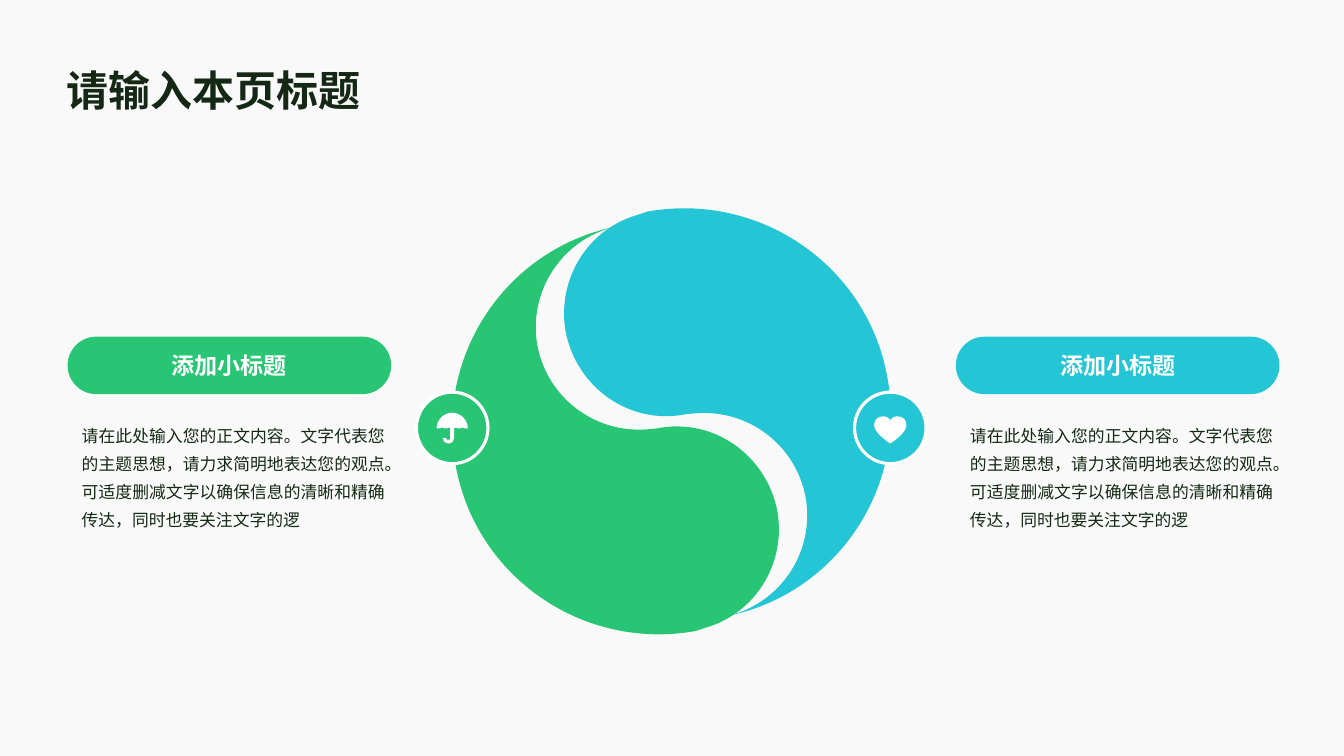
from pptx import Presentation
from pptx.dml.color import RGBColor
from pptx.enum.shapes import MSO_SHAPE as Shape
from pptx.enum.text import MSO_ANCHOR as Anchor, PP_ALIGN as Align
from pptx.oxml.ns import qn
from pptx.util import Inches, Pt
from lxml.etree import SubElement

# Content
TITLE = "请输入本页标题"
BODY = ("请在此处输入您的正文内容。文字代表您的主题思想，请力求简明地表达您的观点。"
        "可适度删减文字以确保信息的清晰和精确传达，同时也要关注文字的逻")
SIDES = [
    dict(heading="添加小标题", body=BODY, color="cyan", icon="heart",
         column_left=9.48, badge_center=(8.83, 4.245), turned=False),
    dict(heading="添加小标题", body=BODY, color="green", icon="umbrella",
         column_left=0.67, badge_center=(4.485, 4.245), turned=True),
]

THEME = dict(
    font="Noto Sans CJK SC",
    background="F9F9F9", ink="152815", white="FFFFFF", cyan="24C6D6", green="28C674",
    title_size=30, heading_size=16.5, body_size=12, badge_line=2.25,
)

# Outlines: a start point, then segments of 1 point (line) or 3 points (Bezier curve)
SWIRL_CENTER = (6.66, 4.18)
SWIRL = [  # inches on the slide
    [(7.17, 6.12)],
    [(7.72, 6.02), (8.09, 5.49), (7.99, 4.93)],
    [(7.89, 4.41), (7.42, 4.06), (6.9, 4.1)],
    [(6.8, 4.11)],
    [(6.25, 4.22), (5.72, 3.85), (5.61, 3.29)],
    [(5.52, 2.77), (5.83, 2.27), (6.33, 2.13)],
    [(6.42, 2.1)],
    [(7.53, 1.9), (8.6, 2.63), (8.8, 3.74)],
    [(9.01, 4.85), (8.28, 5.92), (7.17, 6.12)],
]
ICONS = {  # hundredths of an inch from the badge centre
    "heart": [
        [(0, -7.5)],
        [(0, -7.5), (-2, -11.5), (-7, -11.5)],
        [(-13, -11.5), (-16, -7.5), (-16, -2.5)],
        [(-16, 5.5), (0, 15.5), (0, 15.5)],
        [(0, 15.5), (16, 5.5), (16, -2.5)],
        [(16, -7.5), (13, -11.5), (7, -11.5)],
        [(2, -11.5), (0, -7.5), (0, -7.5)],
    ],
    "umbrella": [
        [(0, -15)],
        [(-8.5, -15), (-15.5, -8), (-15.5, 0.5)],
        [(-12, 0.5)],
        [(-11.5, -0.5), (-10.5, -0.5), (-10, -0.5)],
        [(-9, -0.5), (-8.5, -0.5), (-8, 0.5)],
        [(-5, 0.5)],
        [(-4.5, -0.5), (-3.5, -0.5), (-3, -0.5)],
        [(-2.5, -0.5), (-2, -0.5), (-2, 0.5)],
        [(-2, 10)],
        [(-2, 11.5), (-2.5, 12), (-4, 12)],
        [(-5, 12), (-6, 11.5), (-6, 10)],
        [(-9.5, 10)],
        [(-9.5, 13), (-7, 15.5), (-4, 15.5)],
        [(-0.5, 15.5), (2, 13), (2, 10)],
        [(2, 0.5)],
        [(2, -0.5), (2.5, -0.5), (3.5, -0.5)],
        [(4.5, -0.5), (5, -0.5), (5.5, 0.5)],
        [(8.5, 0.5)],
        [(9, -0.5), (10, -0.5), (10.5, -0.5)],
        [(11, -0.5), (11.5, -0.5), (12, 0.5)],
        [(15.5, 0.5)],
        [(15.5, -8), (8.5, -15), (0, -15)],
    ],
}
COLUMN_WIDTH, BADGE_SIZE, CURVE_STEPS = 3.21, 0.71, 40

prs = Presentation()
prs.slide_width, prs.slide_height = Inches(13.33), Inches(7.5)
slide = prs.slides.add_slide(prs.slide_layouts[6])


def color(name):
    return RGBColor.from_string(THEME[name])


def paint(shape, fill, line=None):
    shape.shadow.inherit = False
    shape.fill.solid()
    shape.fill.fore_color.rgb = color(fill)
    if line:
        shape.line.color.rgb = color(line)
        shape.line.width = Pt(THEME["badge_line"])
    else:
        shape.line.fill.background()
    return shape


def place(outline, origin, scale):
    """Scale an outline and move it to its origin, in EMU."""
    return [[tuple(Inches(o + scale * v) for o, v in zip(origin, point))
             for point in segment] for segment in outline]


def extent(outline, axis):
    """Smallest and largest coordinate that the curves reach on one axis."""
    values = [segment[-1][axis] for segment in outline]
    for before, segment in zip(outline, outline[1:]):
        if len(segment) == 3:
            a, b, c, d = [p[axis] for p in (before[-1], *segment)]
            for step in range(1, CURVE_STEPS):
                t = step / CURVE_STEPS
                u = 1 - t
                values.append(round(a * u**3 + 3 * b * t * u**2 + 3 * c * t**2 * u + d * t**3))
    return min(values), max(values)


def draw_outline(shapes, outline, fill):
    (left, right), (top, bottom) = extent(outline, 0), extent(outline, 1)
    builder = shapes.build_freeform(left, top, scale=1.0)
    builder.add_line_segments([(right, top), (right, bottom), (left, bottom)])
    shape = paint(builder.convert_to_shape(), fill)
    # Swap the frame for the curved outline
    route = next(shape._element.iter(qn("a:path")))
    for command in list(route):
        route.remove(command)
    for index, segment in enumerate(outline):
        tag = "a:moveTo" if index == 0 else "a:lnTo" if len(segment) == 1 else "a:cubicBezTo"
        command = SubElement(route, qn(tag))
        for x, y in segment:
            SubElement(command, qn("a:pt"), x=str(x - left), y=str(y - top))
    SubElement(route, qn("a:close"))


def write(shape, text, size, ink, bold=False, insets=None, anchor=Anchor.TOP, **layout):
    frame = shape.text_frame
    left, top, right, bottom = insets or (0.1, 0.05, 0.1, 0.05)
    frame_format = dict(word_wrap=True, vertical_anchor=anchor,
                        margin_left=Inches(left), margin_top=Inches(top),
                        margin_right=Inches(right), margin_bottom=Inches(bottom))
    paragraph = frame.paragraphs[0]
    run = paragraph.add_run()
    run.text = text
    font_format = dict(name=THEME["font"], size=Pt(THEME[size]), bold=bold)
    for target, values in ((frame, frame_format), (paragraph, layout), (run.font, font_format)):
        for key, value in values.items():
            setattr(target, key, value)
    run.font.color.rgb = color(ink)
    properties = run._r.get_or_add_rPr()
    properties.set("lang", "zh-CN")
    SubElement(properties, qn("a:ea")).set("typeface", THEME["font"])


def box(left, top, width, height):
    return [Inches(v) for v in (left, top, width, height)]


# Background and title
slide.background.fill.solid()
slide.background.fill.fore_color.rgb = color("background")
write(slide.shapes.add_textbox(*box(0.52, 0.29, 12.29, 1)), TITLE, "title_size", "ink",
      bold=True, insets=(0.14, 0.14, 0.06, 0.14), anchor=Anchor.MIDDLE, line_spacing=1.4)

# Two interlocking halves, the second turned by 180 degrees about the centre
for side in SIDES:
    origin, scale = (0, 0), 1
    if side["turned"]:
        origin, scale = [2 * c for c in SWIRL_CENTER], -1
    draw_outline(slide.shapes, place(SWIRL, origin, scale), side["color"])

for side in SIDES:
    # Badge with its icon
    cx, cy = side["badge_center"]
    badge = slide.shapes.add_group_shape().shapes
    disc = badge.add_shape(Shape.OVAL, *box(cx - BADGE_SIZE / 2, cy - BADGE_SIZE / 2,
                                            BADGE_SIZE, BADGE_SIZE))
    paint(disc, side["color"], line="white")
    draw_outline(badge, place(ICONS[side["icon"]], (cx, cy), 0.01), "white")

    # Heading pill and body text
    pill = slide.shapes.add_shape(Shape.ROUNDED_RECTANGLE,
                                  *box(side["column_left"], 3.34, COLUMN_WIDTH, 0.57))
    pill.adjustments[0] = 0.5
    write(paint(pill, side["color"]), side["heading"], "heading_size", "white",
          bold=True, anchor=Anchor.MIDDLE, alignment=Align.CENTER)
    body = slide.shapes.add_textbox(*box(side["column_left"], 4.08, COLUMN_WIDTH, 1.23))
    write(body, side["body"], "body_size", "ink", insets=(0.14, 0.06, 0.06, 0.06),
          alignment=Align.JUSTIFY, line_spacing=1.4)

prs.save("out.pptx")
